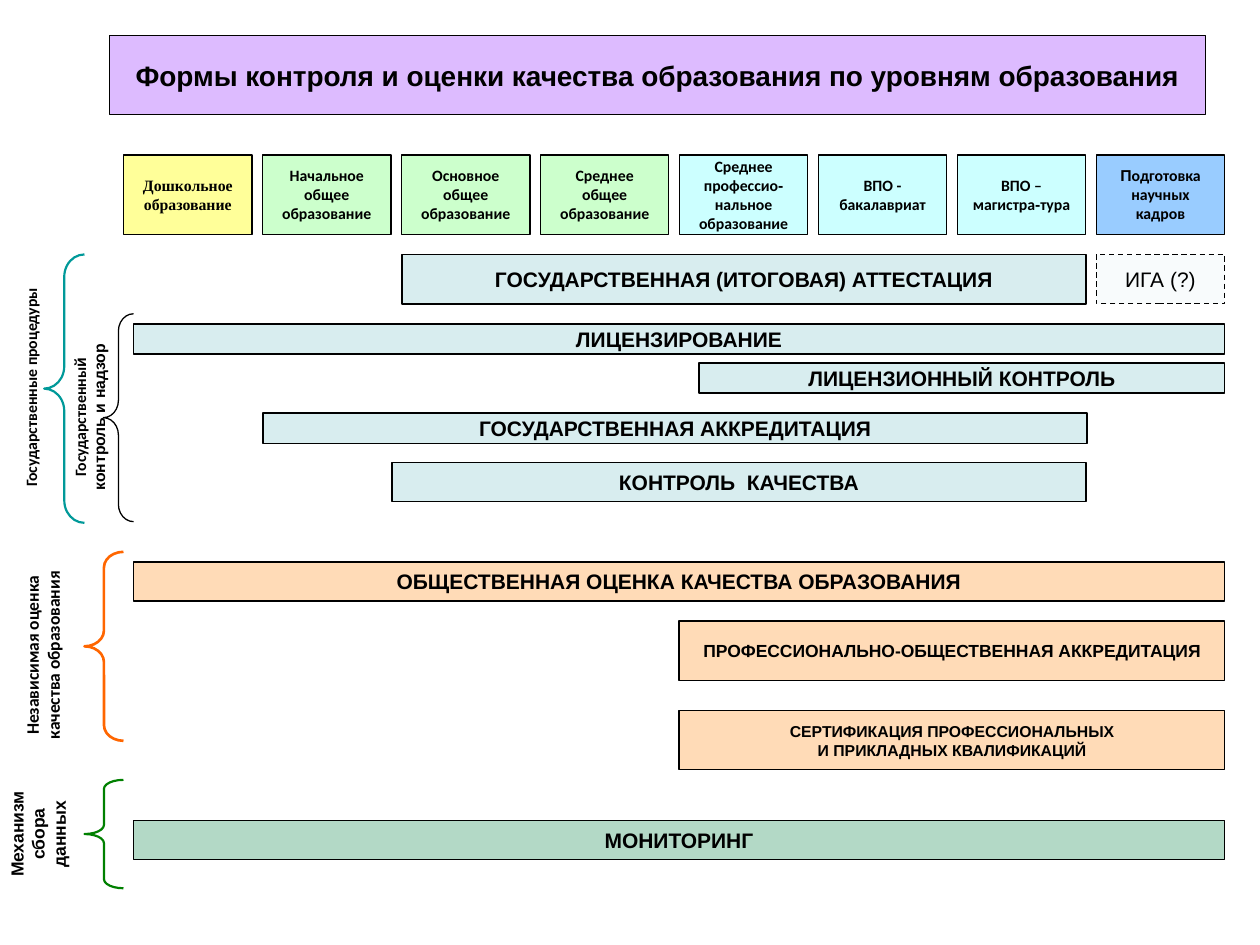
from lxml import etree
from pptx import Presentation
from pptx.dml.color import RGBColor
from pptx.enum import dml, shapes, text
from pptx.oxml.ns import qn
from pptx.util import Inches, Pt

rgb = RGBColor.from_string


def paint(sp, fill, alpha=100, line="000000", width=0.75):
    """Fill and outline a shape; alpha is opacity in percent, fill None means empty."""
    if fill:
        sp.fill.solid()
        sp.fill.fore_color.rgb = rgb(fill)
        if alpha < 100:
            clr = sp.fill._xPr.find(qn("a:solidFill"))[0]
            etree.SubElement(clr, qn("a:alpha"), val=str(alpha * 1000))
    else:
        sp.fill.background()
    sp.line.color.rgb = rgb(line)
    sp.line.width = Pt(width)


def write(sp, paragraphs, size, bold=True, wrap=True, anchor=text.MSO_ANCHOR.MIDDLE):
    """Fill a shape with paragraphs, each a list of (text, font name) runs."""
    tf = sp.text_frame
    frame = dict(word_wrap=wrap, auto_size=text.MSO_AUTO_SIZE.NONE, vertical_anchor=anchor)
    for name, value in frame.items():
        setattr(tf, name, value)
    for i, runs in enumerate(paragraphs):
        p = tf.add_paragraph() if i else tf.paragraphs[0]
        p.alignment = text.PP_ALIGN.CENTER
        for words, font in runs:
            r = p.add_run()
            r.text = words
            for name, value in dict(name=font, size=Pt(size), bold=bold).items():
                setattr(r.font, name, value)
            r.font.color.rgb = rgb("000000")


prs = Presentation()
prs.slide_width, prs.slide_height = Inches(10), Inches(7.5)
s = prs.slides.add_slide(prs.slide_layouts[5])

# Title
title = s.shapes.title
place = dict(left=0.87, top=0.28, width=8.7, height=0.63)
for name, value in place.items():
    setattr(title, name, Inches(value))
paint(title, "CC99FF", 66)
write(title, [[("Формы контроля и оценки качества образования по уровням образования", "Arial")]],
      16, wrap=False)

# Education levels: eight equal columns
LEFT, LAST, COL_W = 0.98, 8.7, 1.02
levels = [
    ("FFFF99", [("Дошкольное образование", "Times New Roman")]),
    ("CCFFCC", [("Начальное общее образование", "Calibri")]),
    ("CCFFCC", [("Основное общее образование", "Calibri")]),
    ("CCFFCC", [("Среднее общее образование", "Calibri")]),
    ("CCFFFF", [("Среднее профессио", "Calibri"), ("-", "Arial"),
                ("нальное образование", "Calibri")]),
    ("CCFFFF", [("ВПО - бакалавриат", "Calibri")]),
    ("CCFFFF", [("ВПО – магистра", "Calibri"), ("-", "Arial"), ("тура", "Calibri")]),
    ("99CCFF", [("П", "Arial"), ("одготовка научных кадров", "Calibri")]),
]
step = (LAST - LEFT) / (len(levels) - 1)
for i, (fill, runs) in enumerate(levels):
    sp = s.shapes.add_shape(shapes.MSO_SHAPE.RECTANGLE, Inches(LEFT + i * step), Inches(1.23),
                            Inches(COL_W), Inches(0.63))
    sp.shadow.inherit = False
    paint(sp, fill)
    write(sp, [runs], 9)

# Forms of control: bars spanning the levels they apply to
STATE = dict(fill="BBE0E3", alpha=56, width=1)
PUBLIC = dict(fill="FFCC99", alpha=70)
DRAFT = dict(fill="BBE0E3", alpha=10)
DATA = dict(fill="339966", alpha=37)
bars = [
    (3.19, 2.02, 5.43, 0.39, STATE, 12, ["ГОСУДАРСТВЕННАЯ (ИТОГОВАЯ) АТТЕСТАЦИЯ"]),
    (8.7, 2.02, 1.02, 0.39, DRAFT, 12, ["ИГА (?)"]),
    (1.06, 2.57, 8.66, 0.24, STATE, 12, ["ЛИЦЕНЗИРОВАНИЕ"]),
    (5.55, 2.88, 4.17, 0.24, STATE, 12, ["ЛИЦЕНЗИОННЫЙ КОНТРОЛЬ"]),
    (2.09, 3.28, 6.54, 0.24, STATE, 12, ["ГОСУДАРСТВЕННАЯ АККРЕДИТАЦИЯ"]),
    (3.11, 3.67, 5.51, 0.31, STATE, 12, ["КОНТРОЛЬ  КАЧЕСТВА"]),
    (1.06, 4.46, 8.66, 0.31, PUBLIC, 12, ["ОБЩЕСТВЕННАЯ ОЦЕНКА КАЧЕСТВА ОБРАЗОВАНИЯ"]),
    (5.39, 4.93, 4.33, 0.47, PUBLIC, 10, ["ПРОФЕССИОНАЛЬНО-ОБЩЕСТВЕННАЯ АККРЕДИТАЦИЯ"]),
    (5.39, 5.64, 4.33, 0.47, PUBLIC, 9,
     ["СЕРТИФИКАЦИЯ ПРОФЕССИОНАЛЬНЫХ", "И ПРИКЛАДНЫХ КВАЛИФИКАЦИЙ"]),
    (1.06, 6.51, 8.66, 0.31, DATA, 12, ["МОНИТОРИНГ"]),
]
for x, y, w, h, look, size, lines in bars:
    sp = s.shapes.add_shape(shapes.MSO_SHAPE.RECTANGLE, *map(Inches, (x, y, w, h)))
    sp.shadow.inherit = False
    paint(sp, **look)
    if look is DRAFT:
        sp.line.dash_style = dml.MSO_LINE.DASH
    write(sp, [[(line, "Arial")] for line in lines], size, bold=look is not DRAFT, wrap=False)

# Braces that group the bars
braces = [
    (0.35, 2.02, 0.32, 2.13, "009999", 1.25),
    (0.82, 2.49, 0.24, 1.65, "000000", 0.75),
    (0.67, 4.38, 0.31, 1.5, "FF6600", 1.5),
    (0.67, 6.19, 0.31, 0.86, "008000", 1.25),
]
for x, y, w, h, color, width in braces:
    sp = s.shapes.add_shape(shapes.MSO_SHAPE.LEFT_BRACE, *map(Inches, (x, y, w, h)))
    sp.shadow.inherit = False
    sp.adjustments[0] = h / 12 / w  # each curl takes a twelfth of the height
    paint(sp, None, line=color, width=width)

# Group names, read from bottom to top
labels = [
    (-0.81, 2.95, 2.11, 0.25, 9, [("Государственные процедуры", "Calibri")]),
    (-0.11, 3.11, 1.64, 0.4, 9,
     [("Государственны", "Calibri"), ("й контроль и надзор", "Arial")]),
    (-0.48, 4.98, 1.64, 0.44, 10, [("Независимая оценка качества образования", "Calibri")]),
    (-0.21, 6.32, 1.02, 0.6, 10, [("Механизм сбора данных", "Arial")]),
]
for x, y, w, h, size, runs in labels:
    sp = s.shapes.add_textbox(*map(Inches, (x, y, w, h)))
    sp.rotation = 270
    write(sp, [runs], size, anchor=text.MSO_ANCHOR.TOP)

prs.save("out.pptx")
